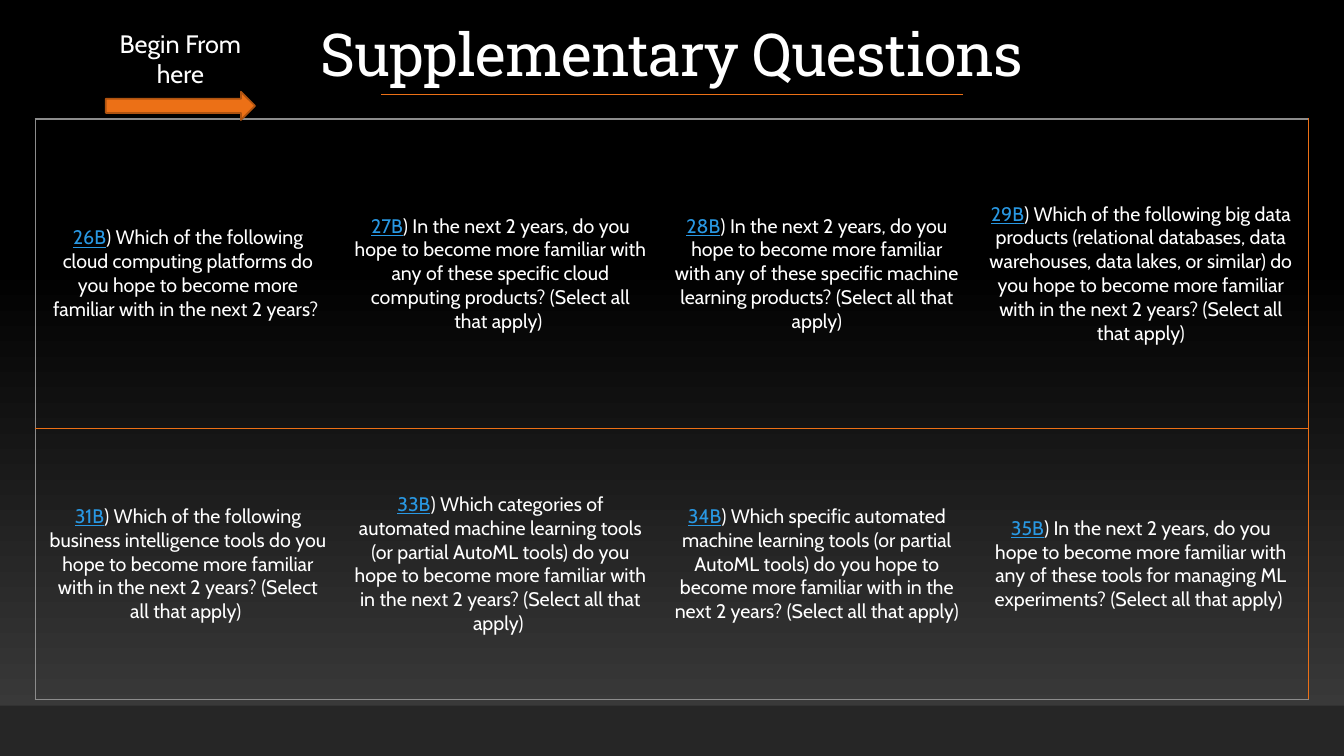
from lxml import etree
from pptx import Presentation
from pptx.dml.color import RGBColor
from pptx.enum.shapes import MSO_CONNECTOR as Connector, MSO_SHAPE as Shape
from pptx.enum.text import MSO_ANCHOR as Anchor, PP_ALIGN as Align
from pptx.oxml.ns import qn
from pptx.util import Pt

ORANGE, GRAY, WHITE, BLUE = "EC7016", "8C8C8C", "FFFFFF", "2998E3"


def color(hex_string):
    return RGBColor.from_string(hex_string)


def add_span(para, text, size, hex_string, font="Cabin"):
    span = para.add_run()
    span.text = text
    span.font.name = font
    span.font.size = Pt(size)
    span.font.color.rgb = color(hex_string)
    return span


deck = Presentation()
deck.slide_width, deck.slide_height = Pt(960), Pt(540)
page = deck.slides.add_slide(deck.slide_layouts[5])

# Background fading from gray at the bottom to black
backdrop = page.background.fill
backdrop.gradient()
backdrop.gradient_angle = 90
for stop, (position, shade) in zip(backdrop.gradient_stops, [(0, "3F3F3F"), (0.65, "000000")]):
    stop.position = position
    stop.color.rgb = color(shade)

# Bottom band
band = page.shapes.add_shape(Shape.RECTANGLE, Pt(0), Pt(504), Pt(960), Pt(36))
band.shadow.inherit = False
band.fill.solid()
band.fill.fore_color.rgb = color("262626")
band.line.fill.background()

# Title
title = page.shapes.title
title.left, title.top, title.width, title.height = Pt(84), Pt(24.5), Pt(792), Pt(43.2)
title.text_frame.vertical_anchor = Anchor.BOTTOM
title.text_frame.word_wrap = True
para = title.text_frame.paragraphs[0]
para.alignment = Align.CENTER
para.line_spacing = 0.9
span = add_span(para, "Supplementary Questions", 42.3, WHITE, "Roboto Slab")
span.font._element.set("spc", "-50")

# Question table
questions = [
    [
        ("26B", ") Which of the following cloud computing platforms do you hope to become more familiar with in the next 2 years? "),
        ("27B", ") In the next 2 years, do you hope to become more familiar with any of these specific cloud computing products? (Select all that apply) "),
        ("28B", ") In the next 2 years, do you hope to become more familiar with any of these specific machine learning products? (Select all that apply)"),
        ("29B", ") Which of the following big data products (relational databases, data warehouses, data lakes, or similar) do you hope to become more familiar with in the next 2 years? (Select all that apply)"),
    ],
    [
        ("31B", ") Which of the following business intelligence tools do you hope to become more familiar with in the next 2 years? (Select all that apply) "),
        ("33B", ") Which categories of automated machine learning tools (or partial AutoML tools) do you hope to become more familiar with in the next 2 years? (Select all that apply) "),
        ("34B", ") Which specific automated machine learning tools (or partial AutoML tools) do you hope to become more familiar with in the next 2 years? (Select all that apply) "),
        ("35B", ") In the next 2 years, do you hope to become more familiar with any of these tools for managing ML experiments? (Select all that apply) "),
    ],
]
column_widths = [218.2, 228.2, 223.9, 239]
row_heights = [221, 193.7]
frame = page.shapes.add_table(2, 4, Pt(25.2), Pt(85), Pt(sum(column_widths)), Pt(sum(row_heights)))
table = frame.table
table.first_row = table.horz_banding = False
for column, width in zip(table.columns, column_widths):
    column.width = Pt(width)
for row, height in zip(table.rows, row_heights):
    row.height = Pt(height)

for r, row_questions in enumerate(questions):
    for c, (number, question) in enumerate(row_questions):
        cell = table.cell(r, c)
        cell.vertical_anchor = Anchor.MIDDLE
        cell.margin_left = cell.margin_right = cell.margin_top = cell.margin_bottom = Pt(10)
        para = cell.text_frame.paragraphs[0]
        para.alignment = Align.CENTER
        add_span(para, number, 14, BLUE).font.underline = True
        add_span(para, question, 14, WHITE)

        # Frame and middle rule, no rules between columns
        borders = {
            "a:lnL": GRAY if c == 0 else None,
            "a:lnR": ORANGE if c == 3 else None,
            "a:lnT": GRAY if r == 0 else ORANGE,
            "a:lnB": ORANGE if r == 0 else GRAY,
        }
        properties = cell._tc.get_or_add_tcPr()
        for tag, shade in borders.items():
            border = etree.SubElement(properties, qn(tag), w=str(Pt(1)))
            if shade:
                fill = etree.SubElement(border, qn("a:solidFill"))
                etree.SubElement(fill, qn("a:srgbClr"), val=shade)
            else:
                etree.SubElement(border, qn("a:noFill"))
        cell.fill.background()

# Start arrow and its label
arrow = page.shapes.add_shape(Shape.RIGHT_ARROW, Pt(75.6), Pt(65.5), Pt(106.6), Pt(20.2))
arrow.shadow.inherit = False
arrow.fill.solid()
arrow.fill.fore_color.rgb = color(ORANGE)
arrow.line.color.rgb = color("AF5310")
arrow.line.width = Pt(1.25)

label = page.shapes.add_textbox(Pt(72.7), Pt(16.6), Pt(112.3), Pt(51))
label.text_frame.word_wrap = True
para = label.text_frame.paragraphs[0]
para.alignment = Align.CENTER
add_span(para, "Begin From here", 18, WHITE)

# Rule under the title
rule = page.shapes.add_connector(Connector.STRAIGHT, Pt(272.2), Pt(67.7), Pt(687.6), Pt(67.7))
rule.line.color.rgb = color(ORANGE)
rule.line.width = Pt(1)
etree.SubElement(rule._element.spPr, qn("a:effectLst"))

deck.save("out.pptx")
